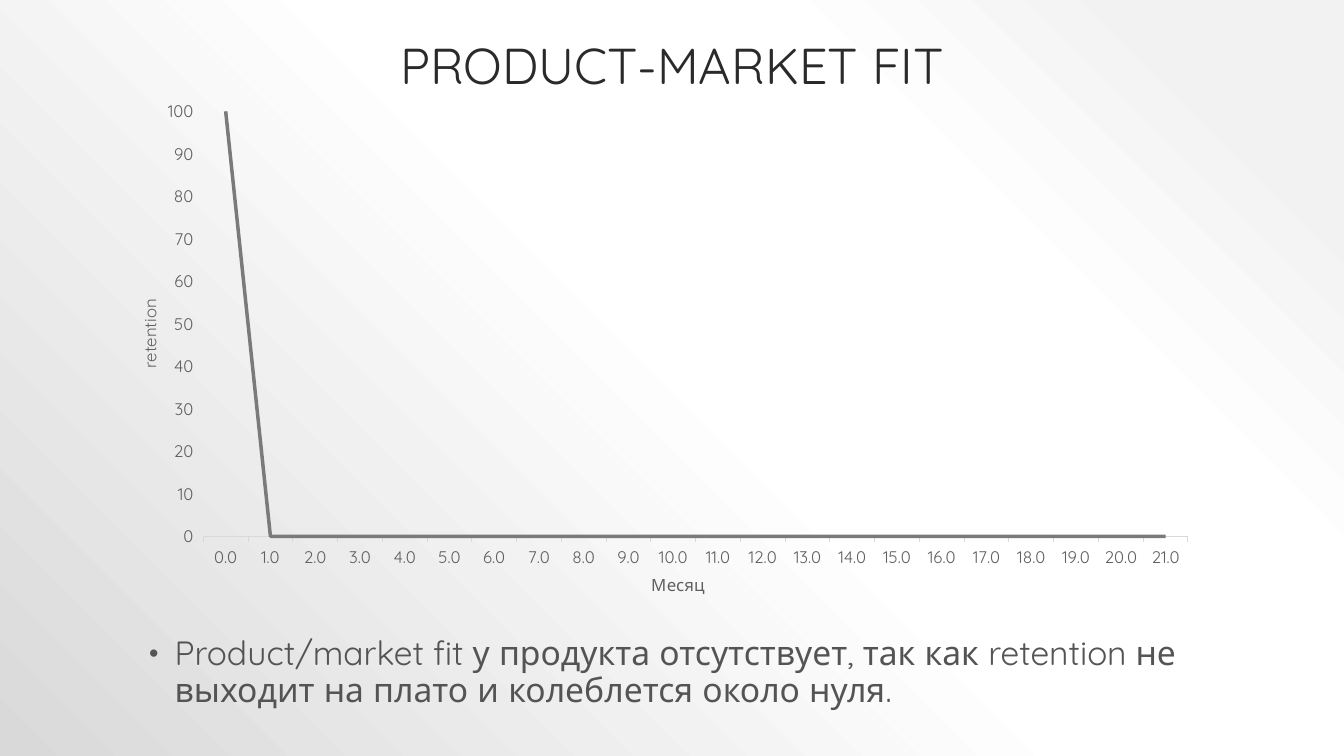
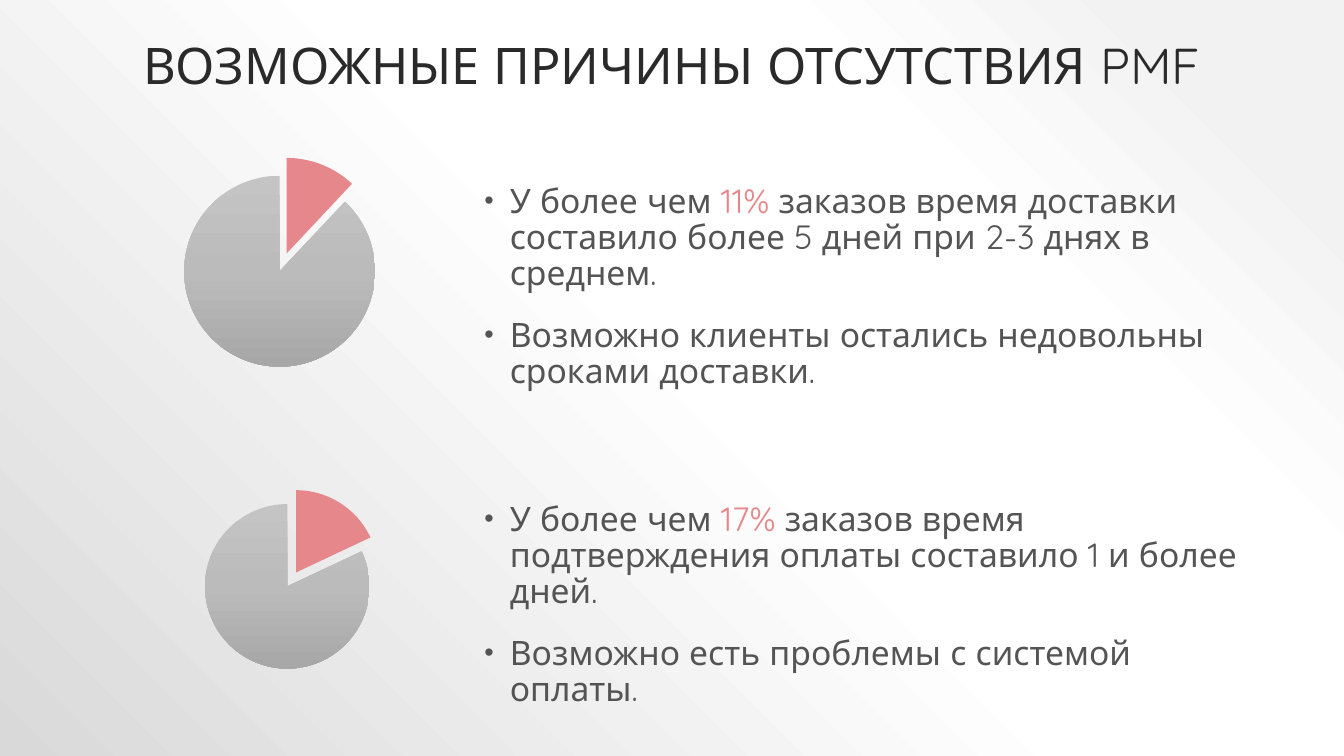
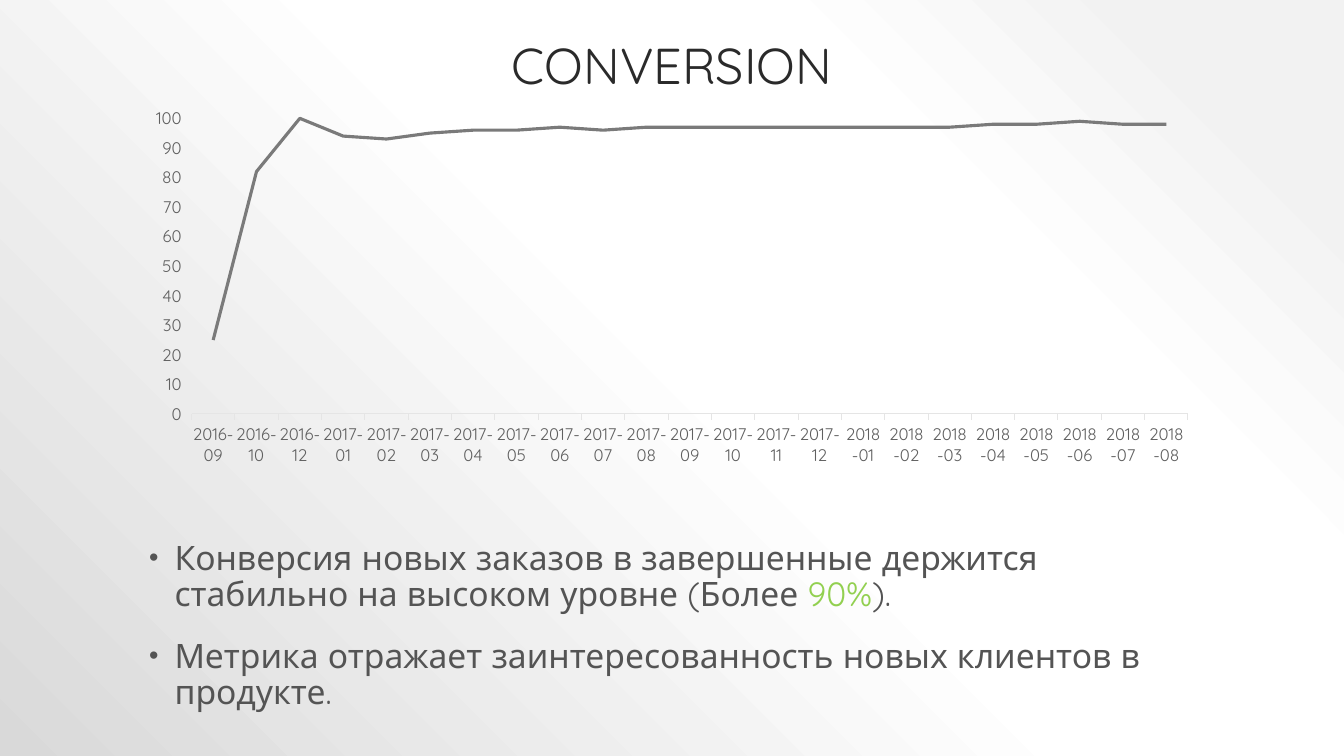
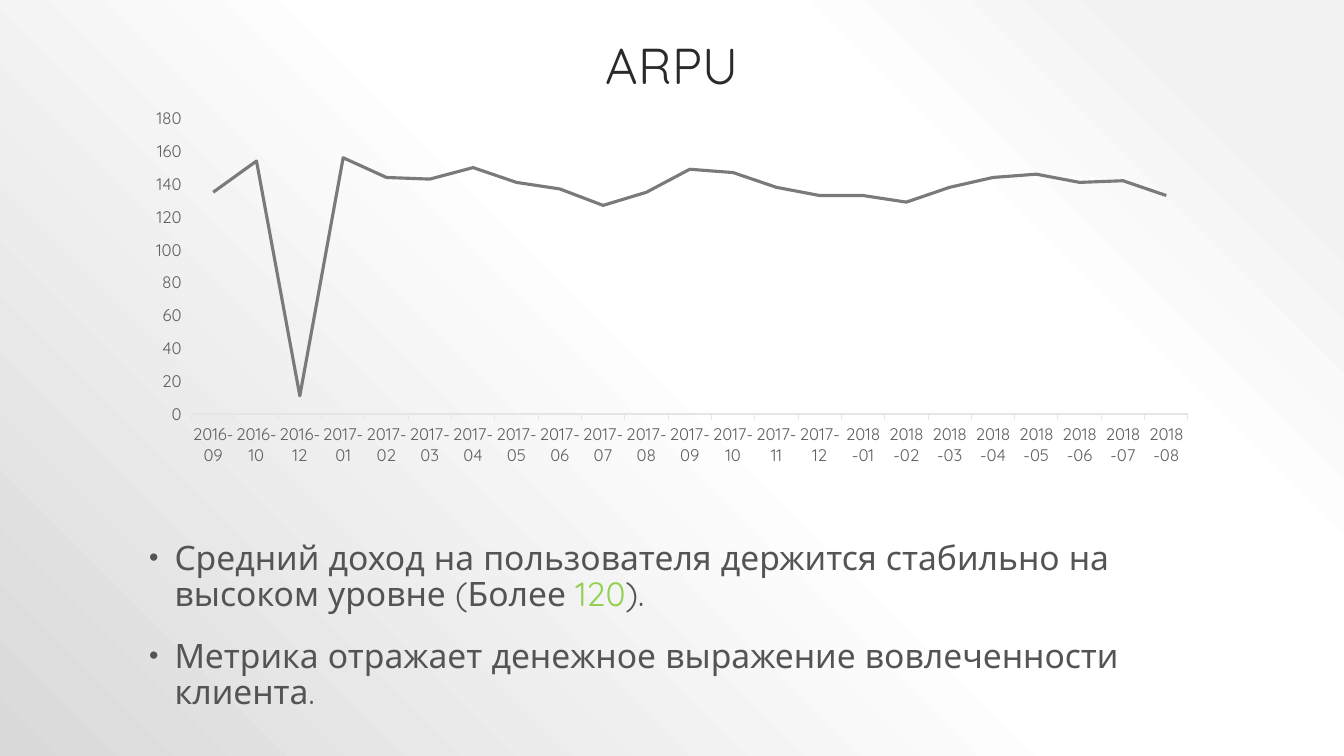
from pptx import Presentation
from pptx.chart.data import CategoryChartData
from pptx.dml.color import RGBColor
from pptx.enum import chart as charts, text
from pptx.oxml import parse_xml
from pptx.oxml.ns import nsdecls
from pptx.util import Cm, Pt

FONT = "Quicksand"
TITLE_COLOR = RGBColor(0x2A, 0x2A, 0x2A)
BODY_COLOR = RGBColor(0x54, 0x54, 0x54)
AXIS_COLOR = RGBColor(0x60, 0x60, 0x60)
LINE_COLOR = RGBColor(0x7A, 0x7A, 0x7A)
AXIS_LINE = RGBColor(0xE5, 0xE5, 0xE5)
AXIS_LINE_DARK = RGBColor(0xD9, 0xD9, 0xD9)
RED = RGBColor(0xE6, 0x88, 0x8B)
GREEN = RGBColor(0x92, 0xD0, 0x50)

BACKGROUND_STOPS = [(10, "F2F2F2"), (28, "FFFFFF"), (48, "FFFFFF"), (100, "D9D9D9")]
BACKGROUND_PATH = ('<a:path {} path="circle"><a:fillToRect l="100000" b="100000"/></a:path>'
                   .format(nsdecls("a")))
SLICE_STOPS = [(0, "C4C4C4"), (50, "BBBBBB"), (100, "A7A7A7")]
SLICE_DIRECTION = '<a:lin {} ang="5400000" scaled="0"/>'.format(nsdecls("a"))

LEFT, WIDTH = Cm(3.39), Cm(27.09)
MONTHS = (["2016-09", "2016-10", "2016-12"]
          + [f"2017-{month:02}" for month in range(1, 13)]
          + [f"2018-{month:02}" for month in range(1, 9)])
CONVERSION = [25, 82, 100, 94, 93, 95, 96, 96, 97, 96, 97, 97,
              97, 97, 97, 97, 97, 97, 98, 98, 99, 98, 98]
ARPU = [135, 154, 11, 156, 144, 143, 150, 141, 137, 127, 135, 149,
        147, 138, 133, 133, 129, 138, 144, 146, 141, 142, 133]


def write_gradient(gradient, stops, direction):
    """Replace the content of a gradFill element with stops and a direction."""
    gradient.clear()
    stop_xml = "".join(f'<a:gs pos="{position * 1000}"><a:srgbClr val="{color}"/></a:gs>'
                       for position, color in stops)
    gradient.append(parse_xml(f'<a:gsLst {nsdecls("a")}>{stop_xml}</a:gsLst>'))
    gradient.append(parse_xml(direction))


def set_background(master):
    master.background.fill.gradient()
    gradient = master.element.xpath(".//p:bg//a:gradFill")[0]
    write_gradient(gradient, BACKGROUND_STOPS, BACKGROUND_PATH)


def style_font(font, size, color):
    font.name = FONT
    font.size = Pt(size)
    font.bold = False
    font.color.rgb = color


def add_titled_slide(presentation, title_text, left=LEFT, width=WIDTH):
    slide = presentation.slides.add_slide(presentation.slide_layouts[5])
    title = slide.shapes.title
    title.left, title.top, title.width, title.height = left, Cm(0.78), width, Cm(1.75)
    frame = title.text_frame
    frame.text = title_text
    frame.vertical_anchor = text.MSO_ANCHOR.BOTTOM
    paragraph = frame.paragraphs[0]
    paragraph.alignment = text.PP_ALIGN.CENTER
    paragraph.line_spacing = 0.9
    style_font(paragraph.runs[0].font, 36, TITLE_COLOR)
    return slide


def set_bullet(paragraph):
    properties = paragraph._p.get_or_add_pPr()
    properties.set("marL", str(Cm(0.76)))
    properties.set("indent", str(Cm(-0.64)))
    for xml in (f'<a:buClr {{}}><a:srgbClr val="{BODY_COLOR}"/></a:buClr>',
                '<a:buSzPct {} val="80000"/>',
                '<a:buFont {} typeface="Arial"/>',
                '<a:buChar {} char="•"/>'):
        properties.append(parse_xml(xml.format(nsdecls("a"))))


def add_bullets(slide, box, items, accent=BODY_COLOR):
    """Add bulleted paragraphs; each item is a tuple of runs, every second one accented."""
    frame = slide.shapes.add_textbox(*box).text_frame
    frame.word_wrap = True
    for index, item in enumerate(items):
        paragraph = frame.add_paragraph() if index else frame.paragraphs[0]
        paragraph.line_spacing = 0.9
        paragraph.space_before = Pt(18)
        set_bullet(paragraph)
        for position, words in enumerate(item):
            run = paragraph.add_run()
            run.text = words
            style_font(run.font, 24, accent if position % 2 else BODY_COLOR)


def set_plot_layout(chart, x, y, width, height):
    """Fix the inner plot area, in fractions of the chart."""
    plot_area = chart.element.xpath(".//c:plotArea")[0]
    for layout in plot_area.xpath("./c:layout"):
        plot_area.remove(layout)
    plot_area.insert(0, parse_xml(
        f'<c:layout {nsdecls("c")}><c:manualLayout><c:layoutTarget val="inner"/>'
        '<c:xMode val="edge"/><c:yMode val="edge"/>'
        f'<c:x val="{x}"/><c:y val="{y}"/><c:w val="{width}"/><c:h val="{height}"/>'
        '</c:manualLayout></c:layout>'))


def add_chart(slide, kind, box, categories, *value_lists):
    data = CategoryChartData()
    data.categories = categories
    for number, values in enumerate(value_lists, 1):
        data.add_series(f"Series {number}", values)
    chart = slide.shapes.add_chart(kind, *box, data).chart
    if len(value_lists) > 1:
        chart.replace_data(data)  # a new pie takes only the first series
    chart.has_title = False
    chart.has_legend = False
    style_font(chart.font, 10, BODY_COLOR)
    return chart


def add_line_chart(slide, box, categories, values, maximum=None,
                   axis_line=AXIS_LINE, line_width=2.25):
    chart = add_chart(slide, charts.XL_CHART_TYPE.LINE, box, categories, values)
    chart.plots[0].vary_by_categories = False
    series = chart.plots[0].series[0]
    series.smooth = False
    series.marker.style = charts.XL_MARKER_STYLE.NONE
    series.format.line.color.rgb = LINE_COLOR
    series.format.line.width = Pt(line_width)
    for axis in (chart.category_axis, chart.value_axis):
        axis.has_major_gridlines = False
        axis.major_tick_mark = charts.XL_TICK_MARK.OUTSIDE
        style_font(axis.tick_labels.font, 12, AXIS_COLOR)
    chart.category_axis.format.line.color.rgb = axis_line
    chart.category_axis.format.line.width = Pt(0.75)
    chart.value_axis.format.line.fill.background()
    chart.value_axis.minimum_scale = 0
    if maximum:
        chart.value_axis.maximum_scale = maximum
    return chart


def set_axis_title(axis, words):
    frame = axis.axis_title.text_frame
    frame.text = words
    style_font(frame.paragraphs[0].runs[0].font, 12, AXIS_COLOR)


def add_share_pie(slide, box, share, plot_layout):
    """Add a pie whose first slice is red and pulled out."""
    unused = [None] * 4
    chart = add_chart(slide, charts.XL_CHART_TYPE.PIE, box, ["1", "2"],
                      [share, 100 - share, None, None], unused, unused)
    set_plot_layout(chart, *plot_layout)
    points = chart.plots[0].series[0].points
    for index in range(2):
        points[index].format.line.fill.background()
    points[0].format.fill.solid()
    points[0].format.fill.fore_color.rgb = RED
    points[1].format.fill.gradient()
    write_gradient(chart.element.xpath(".//a:gradFill")[0], SLICE_STOPS, SLICE_DIRECTION)
    first_point, second_point = chart.element.xpath(".//c:dPt")
    for element, percent in ((first_point, 20), (second_point.xpath("./c:spPr")[0], 0)):
        element.addprevious(parse_xml(f'<c:explosion {nsdecls("c")} val="{percent}"/>'))


def add_retention_slide(presentation):
    slide = add_titled_slide(presentation, "PRODUCT-MARKET FIT")
    chart = add_line_chart(slide, (LEFT, Cm(2.13), WIDTH, Cm(13)),
                           [f"{month}.0" for month in range(22)], [100] + [0] * 21,
                           100, AXIS_LINE_DARK, 2.5)
    set_plot_layout(chart, 0.064, 0.052, 0.916, 0.824)
    set_axis_title(chart.category_axis, "Месяц")
    set_axis_title(chart.value_axis, "retention")
    add_bullets(slide, (LEFT, Cm(15.92), WIDTH, Cm(2.21)), [
        ("Product/market fit у продукта отсутствует, так как retention не выходит "
         "на плато и колеблется около нуля.",)])


def add_reasons_slide(presentation):
    slide = add_titled_slide(presentation, "ВОЗМОЖНЫЕ ПРИЧИНЫ ОТСУТСТВИЯ PMF",
                             Cm(1.73), Cm(30.4))
    add_share_pie(slide, (Cm(2.92), Cm(3.33), Cm(8), Cm(7.01)), 12,
                  (0.155, 0.072, 0.722, 0.856))
    add_share_pie(slide, (Cm(4.32), Cm(11.73), Cm(6.15), Cm(5.59)), 18,
                  (0.07, 0.1, 0.81, 0.89))
    reasons = [
        (4.52, [("У более чем ", "11% ",
                 "заказов время доставки составило более 5 дней при 2-3 днях в среднем."),
                ("Возможно клиенты остались недовольны сроками доставки.",)]),
        (12.53, [("У более чем ", "17% ",
                  "заказов время подтверждения оплаты составило 1 и более дней."),
                 ("Возможно есть проблемы с системой оплаты.",)]),
    ]
    for top, items in reasons:
        add_bullets(slide, (Cm(11.84), Cm(top), Cm(20.29), Cm(5.41)), items, RED)


def add_metric_slide(presentation, title, values, items, maximum=None):
    slide = add_titled_slide(presentation, title)
    add_line_chart(slide, (LEFT, Cm(2.53), WIDTH, Cm(9.4)), MONTHS, values, maximum)
    add_bullets(slide, (LEFT, Cm(13.52), WIDTH, Cm(4.6)), items, GREEN)


def main():
    presentation = Presentation()
    presentation.slide_width, presentation.slide_height = Cm(33.87), Cm(19.05)
    set_background(presentation.slide_master)
    add_retention_slide(presentation)
    add_reasons_slide(presentation)
    add_metric_slide(presentation, "CONVERSION", CONVERSION, [
        ("Конверсия новых заказов в завершенные держится стабильно на высоком уровне (Более ",
         "90%", ")."),
        ("Метрика отражает заинтересованность новых клиентов в продукте.",)], 100)
    add_metric_slide(presentation, "ARPU", ARPU, [
        ("Средний доход на пользователя держится стабильно на высоком уровне (Более ",
         "120", ")."),
        ("Метрика отражает денежное выражение вовлеченности клиента.",)])
    presentation.save("out.pptx")


if __name__ == "__main__":
    main()
